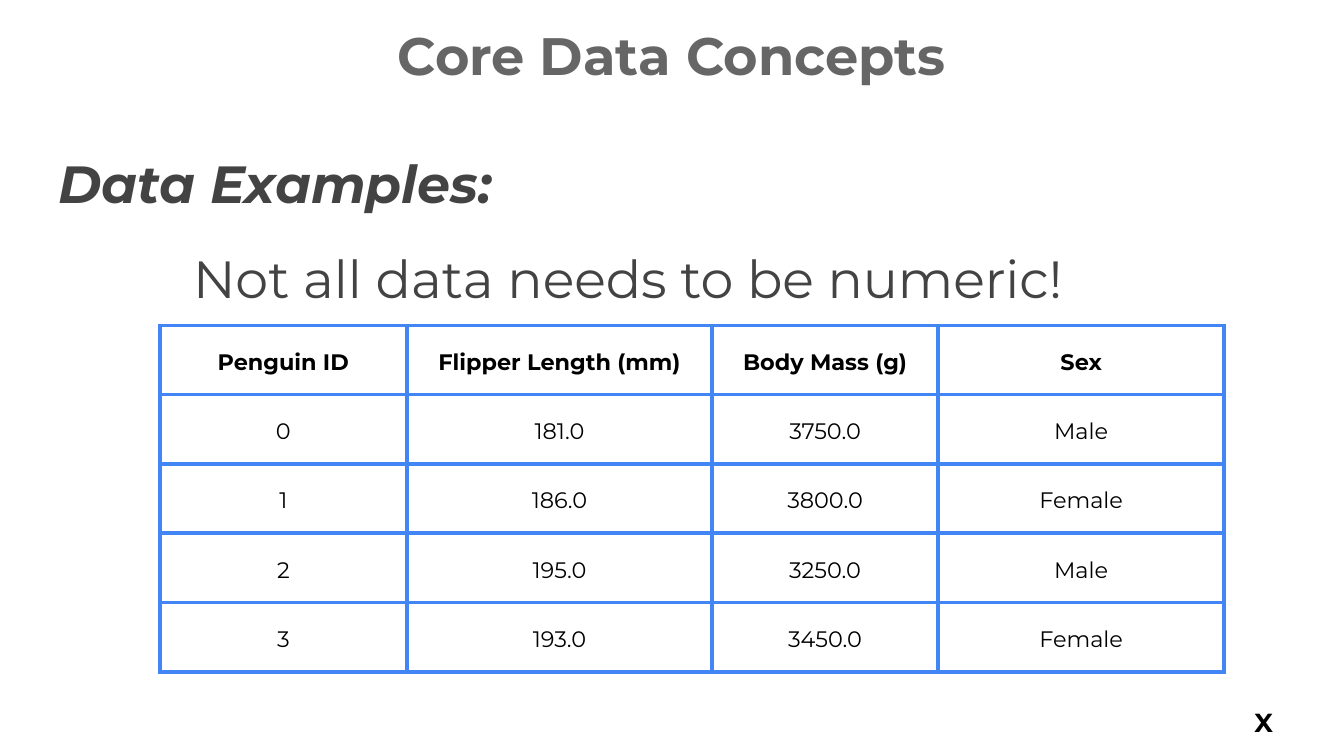
import pptx
import pptx.dml.color
import pptx.enum.text
import pptx.oxml
import pptx.oxml.ns
import pptx.util

Cm, Pt = pptx.util.Cm, pptx.util.Pt
RGB = pptx.dml.color.RGBColor
ALIGN = pptx.enum.text.PP_ALIGN
ANCHOR = pptx.enum.text.MSO_ANCHOR

BLACK = RGB(0x00, 0x00, 0x00)
GREY = RGB(0x66, 0x66, 0x66)
DARK = RGB(0x43, 0x43, 0x43)
BLUE = RGB(0x42, 0x85, 0xF4)

WIDTHS = [4.67, 5.77, 4.27, 5.41]
ROW = 1.31
DATA = [
    ["Penguin ID", "Flipper Length (mm)", "Body Mass (g)", "Sex"],
    ["0", "181.0", "3750.0", "Male"],
    ["1", "186.0", "3800.0", "Female"],
    ["2", "195.0", "3250.0", "Male"],
    ["3", "193.0", "3450.0", "Female"],
]


class Deck:
    """Holds the font and the current slide."""

    font = "Montserrat"
    inset = Cm(0.25)

    def __init__(self, slide):
        self.slide = slide

    def run(self, para, text, size, color, bold=False, italic=False):
        run = para.add_run()
        run.text = text
        font = run.font
        font.name, font.size = self.font, Pt(size)
        font.bold, font.italic = bold, italic
        font.color.rgb = color

    def space(self, para, before, after):
        para.line_spacing = 1.15
        para.space_before, para.space_after = Pt(before), Pt(after)

    def box(self, left, top, width, height, anchor=ANCHOR.TOP):
        shape = self.slide.shapes.add_textbox(
            Cm(left), Cm(top), Cm(width), Cm(height))
        frame = shape.text_frame
        frame.word_wrap = True
        frame.vertical_anchor = anchor
        frame.margin_left = frame.margin_right = self.inset
        frame.margin_top = frame.margin_bottom = self.inset
        return frame

    def border(self, cell, color, width):
        props = cell._tc.get_or_add_tcPr()
        space = pptx.oxml.ns.nsdecls("a")
        for spot, side in enumerate("LRTB"):
            props.insert(spot, pptx.oxml.parse_xml(
                f'<a:ln{side} {space} w="{Pt(width)}"><a:solidFill>'
                f'<a:srgbClr val="{color}"/></a:solidFill></a:ln{side}>'))

    def table(self, left, top, widths, row, data):
        table = self.slide.shapes.add_table(
            len(data), len(widths), Cm(left), Cm(top),
            Cm(sum(widths)), Cm(row * len(data))).table
        table.first_row = table.horz_banding = False
        for col, width in zip(table.columns, widths):
            col.width = Cm(width)
        for r, line in enumerate(data):
            table.rows[r].height = Cm(row)
            for c, text in enumerate(line):
                cell = table.cell(r, c)
                cell.fill.background()
                cell.vertical_anchor = ANCHOR.MIDDLE
                cell.margin_left = cell.margin_right = Cm(0.2)
                cell.margin_top = cell.margin_bottom = Cm(0.1)
                self.border(cell, BLUE, 2.25)
                para = cell.text_frame.paragraphs[0]
                para.alignment = ALIGN.CENTER
                self.space(para, 12, 18)
                self.run(para, text, 12, BLACK, bold=r == 0)


def main():
    show = pptx.Presentation()
    show.slide_width, show.slide_height = Cm(25.4), Cm(14.29)
    deck = Deck(show.slides.add_slide(show.slide_layouts[6]))

    title = deck.box(0.86, 0.18, 23.67, 1.6).paragraphs[0]
    title.alignment = ALIGN.CENTER
    deck.run(title, "Core Data Concepts", 28.2, GREY, bold=True)

    body = deck.box(0.86, 2.44, 23.67, 10.26)
    head = body.paragraphs[0]
    deck.space(head, 0, 0)
    deck.run(head, "Data Examples:", 28, DARK, bold=True, italic=True)
    note = body.add_paragraph()
    note._p.get_or_add_pPr().set("marL", str(Cm(2.54)))
    deck.space(note, 12, 12)
    deck.run(note, "Not all data needs to be numeric!", 28, DARK)

    mark = deck.box(23.34, 13.13, 1.09, 1.02, ANCHOR.MIDDLE).paragraphs[0]
    mark.alignment = ALIGN.CENTER
    deck.run(mark, "X", 14, BLACK, bold=True)

    deck.table(3.02, 6.15, WIDTHS, ROW, DATA)
    show.save("out.pptx")


if __name__ == "__main__":
    main()
